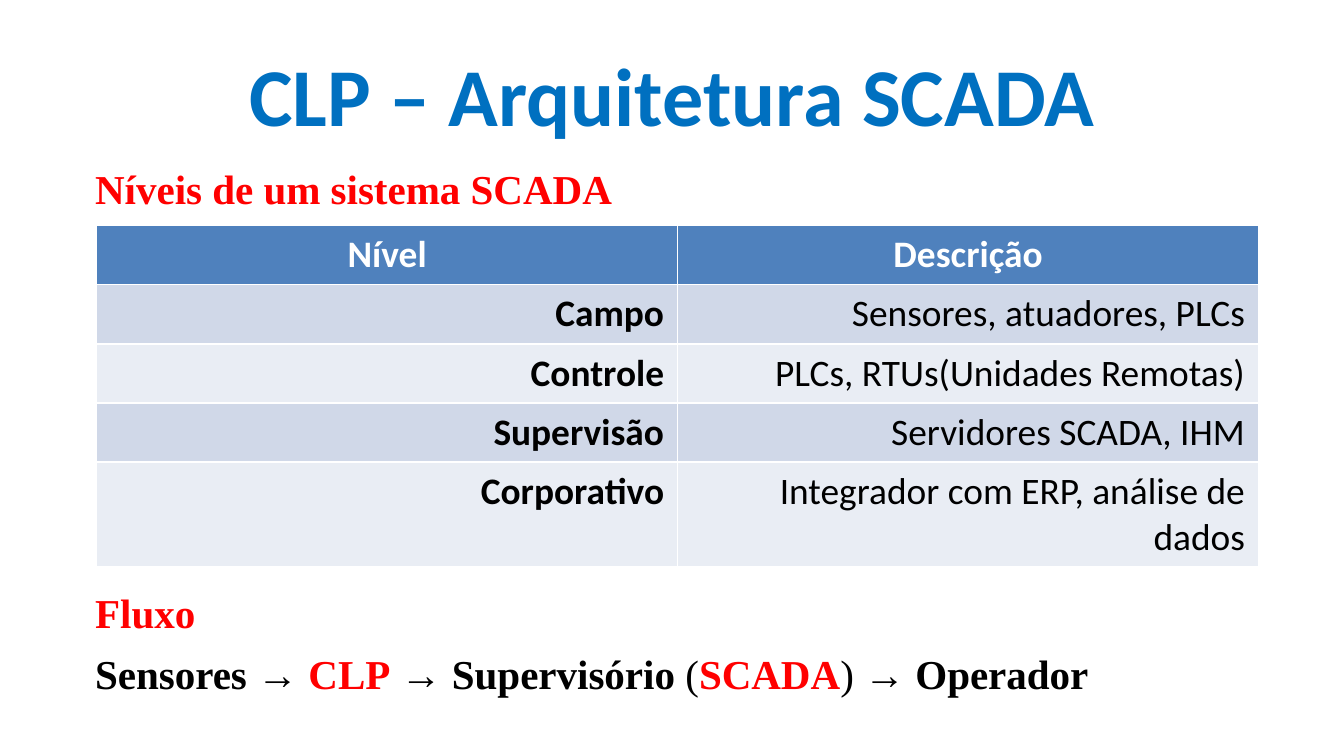
from dataclasses import dataclass
from typing import NamedTuple

from pptx import Presentation
from pptx import util as u
from pptx.dml.color import RGBColor
from pptx.enum import text

PX = 9525  # EMU in one px, 96 px to the inch


@dataclass(frozen=True)
class Theme:
    title: str = "0070C0"
    accent: str = "FF0000"
    ink: str = "000000"
    white: str = "FFFFFF"
    header: str = "4F81BD"
    bands: tuple = ("D0D8E8", "E9EDF4")
    sans: str = "Calibri"
    serif: str = "Times New Roman"
    title_size: int = 44
    body_size: int = 22
    table_size: int = 20


class Box(NamedTuple):
    left: int
    top: int
    width: int
    height: int

    def emu(self) -> list:
        return [px(value) for value in self]


class Span(NamedTuple):
    words: str
    color: str
    bold: bool = True


class Level(NamedTuple):
    name: str
    description: str


THEME = Theme()
INSET = 5
HEADER = Level("Nível", "Descrição")
LEVELS = [
    Level("Campo", "Sensores, atuadores, PLCs"),
    Level("Controle", "PLCs, RTUs(Unidades Remotas)"),
    Level("Supervisão", "Servidores SCADA, IHM"),
    Level("Corporativo", "Integrador com ERP, análise de dados"),
]
ARROW = Span(" → ", THEME.ink, False)
HEADING = [Span("Níveis de um sistema SCADA", THEME.accent)]
FLOW_HEADING = [Span("Fluxo", THEME.accent)]
FLOW = [
    Span("Sensores", THEME.ink), ARROW,
    Span("CLP", THEME.accent), ARROW,
    Span("Supervisório", THEME.ink), Span(" (", THEME.ink, False),
    Span("SCADA", THEME.accent), Span(") → ", THEME.ink, False),
    Span("Operador", THEME.ink),
]


def px(value: int) -> int:
    return u.Emu(value * PX)


def set_font(font, name: str, size: int, color: str, bold: bool) -> None:
    font.name, font.size, font.bold = name, u.Pt(size), bold
    font.color.rgb = RGBColor.from_string(color)


def set_frame(frame) -> None:
    frame.word_wrap = True
    frame.auto_size = text.MSO_AUTO_SIZE.NONE
    frame.margin_left = frame.margin_right = px(INSET)
    frame.margin_top = frame.margin_bottom = px(INSET)


def draw_title(page, box: Box, words: str) -> None:
    title = page.shapes.title
    title.left, title.top, title.width, title.height = box.emu()
    frame = title.text_frame
    set_frame(frame)
    frame.vertical_anchor = text.MSO_ANCHOR.MIDDLE
    para = frame.paragraphs[0]
    para.text = words
    para.alignment = text.PP_ALIGN.CENTER
    set_font(para.font, THEME.sans, THEME.title_size, THEME.title, True)


def draw_lines(page, box: Box, lines: list) -> None:
    frame = page.shapes.add_textbox(*box.emu()).text_frame
    set_frame(frame)
    for index, spans in enumerate(lines):
        para = frame.add_paragraph() if index else frame.paragraphs[0]
        para.alignment = text.PP_ALIGN.JUSTIFY
        para.space_before = u.Pt(6 if index else 0)
        for span in spans:
            run = para.add_run()
            run.text = span.words
            set_font(run.font, THEME.serif, THEME.body_size, span.color, span.bold)


def fill_cell(cell, words: str, fill: str, color: str, bold: bool, align) -> None:
    cell.fill.solid()
    cell.fill.fore_color.rgb = RGBColor.from_string(fill)
    para = cell.text_frame.paragraphs[0]
    para.text = words
    para.alignment = align
    set_font(para.font, THEME.sans, THEME.table_size, color, bold)


def draw_levels(page, box: Box, row_height: int) -> None:
    rows = [HEADER, *LEVELS]
    table = page.shapes.add_table(len(rows), len(HEADER), *box.emu()).table
    for row in table.rows:
        row.height = px(row_height)
    # The last row holds two lines and takes what is left
    table.rows[len(rows) - 1].height = px(box.height - row_height * len(LEVELS))
    for r, level in enumerate(rows):
        for c, words in enumerate(level):
            cell = table.cell(r, c)
            if r == 0:
                fill_cell(cell, words, THEME.header, THEME.white, True,
                          text.PP_ALIGN.CENTER)
            else:
                fill_cell(cell, words, THEME.bands[(r - 1) % 2], THEME.ink,
                          c == 0, text.PP_ALIGN.RIGHT)


def main() -> None:
    deck = Presentation()
    deck.slide_width, deck.slide_height = px(960), px(540)
    page = deck.slides.add_slide(deck.slide_layouts[5])

    # Title and levels heading
    draw_title(page, Box(48, 22, 864, 90), "CLP – Arquitetura SCADA")
    draw_lines(page, Box(63, 112, 882, 45), [HEADING])

    # Table of levels
    draw_levels(page, Box(69, 161, 830, 243), 42)

    # Data flow
    draw_lines(page, Box(63, 415, 882, 110), [FLOW_HEADING, FLOW])

    deck.save("out.pptx")


if __name__ == "__main__":
    main()
